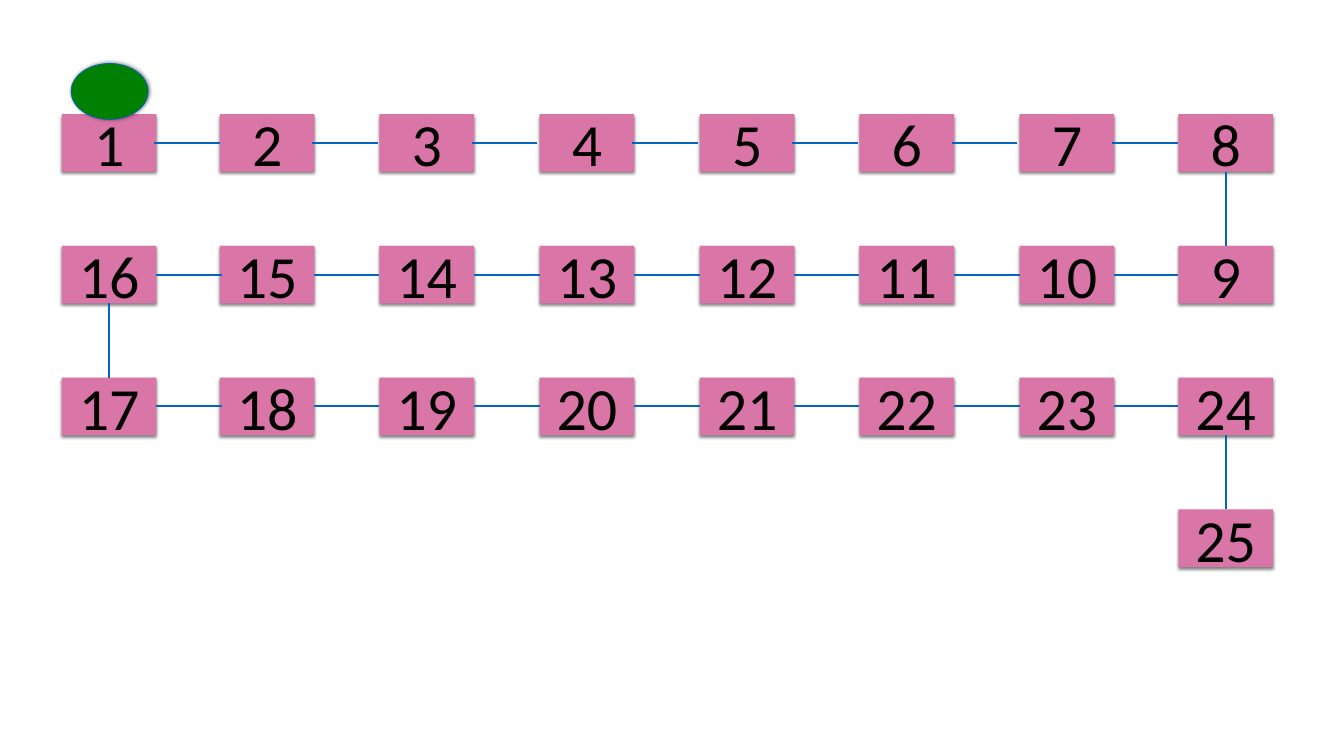
from dataclasses import dataclass

from lxml import etree
from pptx import Presentation
from pptx.dml.color import RGBColor
from pptx.enum.shapes import MSO_CONNECTOR, MSO_SHAPE
from pptx.enum.text import MSO_ANCHOR, PP_ALIGN
from pptx.oxml.ns import qn
from pptx.util import Inches, Pt

RECT, OVAL = MSO_SHAPE.RECTANGLE, MSO_SHAPE.OVAL
STRAIGHT = MSO_CONNECTOR.STRAIGHT
CENTER, MIDDLE = PP_ALIGN.CENTER, MSO_ANCHOR.MIDDLE
TOP, LEFT, BOTTOM, RIGHT = range(4)

COLUMNS = [0.82, 2.91, 5.02, 7.14, 9.26, 11.37, 13.49, 15.59]
FIRST_ROW, ROW_STEP = 1.51, 1.743
BOX_W, BOX_H = 1.25, 0.76
LINK_W, LINK_SHIFT = 0.87, 0.03
LAST = 25
PINK, GREEN, BLACK = "D975A7", "008000", "000000"
LINK_BLUE, RIM_BLUE = "0365C0", "0063BF"


@dataclass
class Square:
    number: int
    row: int
    col: int

    @property
    def left(self) -> float:
        return COLUMNS[self.col]

    @property
    def top(self) -> float:
        return FIRST_ROW + ROW_STEP * self.row


def rgb(color: str) -> RGBColor:
    return RGBColor.from_string(color)


def add_shadow(shape, blur: float, dist: float, angle: int) -> None:
    effects = etree.SubElement(shape._element.spPr, qn("a:effectLst"))
    shadow = etree.SubElement(effects, qn("a:outerShdw"), blurRad=str(Pt(blur)),
                              dist=str(Pt(dist)), dir=str(angle * 60000), rotWithShape="0")
    color = etree.SubElement(shadow, qn("a:srgbClr"), val=BLACK)
    etree.SubElement(color, qn("a:alpha"), val="50000")


def add_square(s, square: Square):
    sp = s.shapes.add_shape(RECT, Inches(square.left), Inches(square.top),
                            Inches(BOX_W), Inches(BOX_H))
    sp.fill.solid()
    sp.fill.fore_color.rgb = rgb(PINK)
    sp.line.fill.background()
    add_shadow(sp, 3, 2, 90)
    tf = sp.text_frame
    tf.margin_left = tf.margin_right = Inches(0.16)
    tf.margin_top = tf.margin_bottom = Inches(0.08)
    tf.vertical_anchor = MIDDLE
    tf.text = str(square.number)
    p = tf.paragraphs[0]
    p.alignment = CENTER
    font = p.runs[0].font
    font.name, font.size = "Calibri", Pt(57)
    font.color.rgb = rgb(BLACK)
    return sp


def add_link(s, x1: float, y1: float, x2: float, y2: float):
    link = s.shapes.add_connector(STRAIGHT, Inches(x1), Inches(y1), Inches(x2), Inches(y2))
    link.line.color.rgb = rgb(LINK_BLUE)
    link.line.width = Pt(2)
    etree.SubElement(link._element.spPr, qn("a:effectLst"))
    return link


def add_token(s) -> None:
    """Place the player's green token on square 1."""
    sp = s.shapes.add_shape(OVAL, Inches(0.94), Inches(0.84), Inches(1.02), Inches(0.74))
    sp.fill.solid()
    sp.fill.fore_color.rgb = rgb(GREEN)
    sp.line.color.rgb = rgb(RIM_BLUE)
    sp.line.width = Pt(0.75)
    add_shadow(sp, 4, 1, 0)


def snake_squares() -> list[Square]:
    """Number the squares along a path that turns back at each row's end."""
    squares = []
    for i in range(LAST):
        row, step = divmod(i, len(COLUMNS))
        col = len(COLUMNS) - 1 - step if row % 2 else step
        squares.append(Square(i + 1, row, col))
    return squares


def link_squares(s, a: Square, b: Square, boxes: dict) -> None:
    if a.row != b.row:
        x = a.left + BOX_W / 2
        link = add_link(s, x, a.top + BOX_H, x, b.top)
        link.begin_connect(boxes[a.number], BOTTOM)
        link.end_connect(boxes[b.number], TOP)
        return
    first, second = sorted((a, b), key=lambda square: square.col)
    x, y = first.left + BOX_W, first.top + BOX_H / 2
    if first.row == 0:
        x -= LINK_SHIFT
        add_link(s, x, y, x + LINK_W, y)
        return
    link = add_link(s, x, y, x + LINK_W, y)
    link.begin_connect(boxes[first.number], RIGHT)
    if first.col > 0:
        link.end_connect(boxes[second.number], LEFT)


def main() -> None:
    prs = Presentation()
    prs.slide_width, prs.slide_height = Inches(17.78), Inches(10)
    s = prs.slides.add_slide(prs.slide_layouts[6])
    squares = snake_squares()
    boxes = {square.number: add_square(s, square) for square in squares}
    add_token(s)
    for a, b in zip(squares, squares[1:]):
        link_squares(s, a, b, boxes)
    prs.save("out.pptx")


if __name__ == "__main__":
    main()
